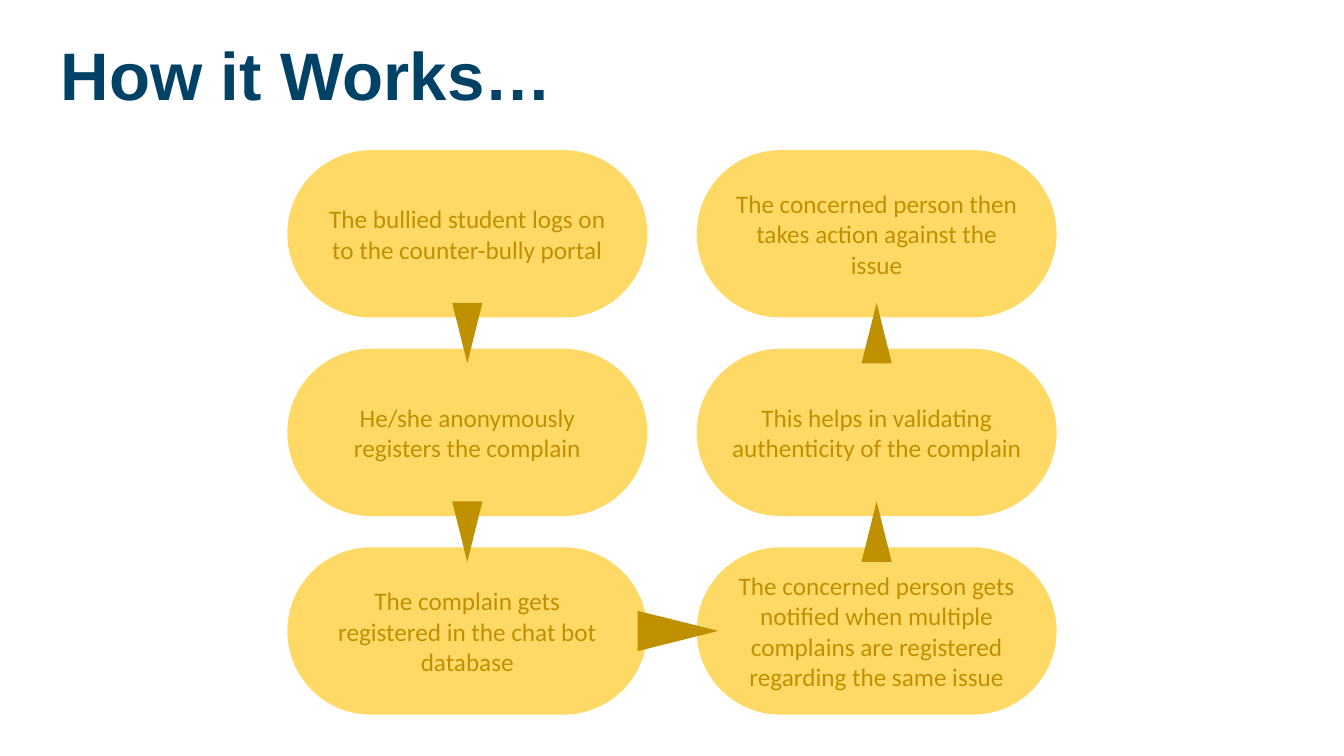
from pptx import Presentation
from pptx.dml.color import RGBColor
from pptx.enum.shapes import MSO_SHAPE
from pptx.enum.text import MSO_ANCHOR, MSO_AUTO_SIZE, PP_ALIGN
from pptx.util import Inches, Pt

NAVY, YELLOW, GOLD = "004266", "FFD966", "BF9000"
GRID_LEFT, GRID_TOP = 2.85, 1.49
COLUMN_STEP, ROW_STEP = 4.06, 1.97
PILL_WIDTH, PILL_HEIGHT = 3.57, 1.66
VERTICAL_ARROW = (0.6, 0.3, 0)
ACROSS_ARROW = (0.8, 0.4, 0.06)

STEPS = [
    (0, 0, "The bullied student logs on to the counter-bully portal"),
    (0, 1, "He/she anonymously registers the complain"),
    (0, 2, "The complain gets registered in the chat bot database"),
    (1, 2, "The concerned person gets notified when multiple complains "
           "are registered regarding the same issue"),
    (1, 1, "This helps in validating authenticity of the complain"),
    (1, 0, "The concerned person then takes action against the issue"),
]


def color(value):
    """Turn a hex string into a colour."""
    return RGBColor.from_string(value)


def paint(shape, fill):
    """Give a shape a plain fill without line or shadow."""
    shape.shadow.inherit = False
    shape.fill.solid()
    shape.fill.fore_color.rgb = color(fill)
    shape.line.fill.background()


def write(text_frame, text, font_name, size, font_color, alignment, bold=False):
    """Set one paragraph of text and format it."""
    text_frame.text = text
    paragraph = text_frame.paragraphs[0]
    paragraph.alignment = alignment
    font = paragraph.runs[0].font
    font.name, font.size, font.bold = font_name, Pt(size), bold
    font.color.rgb = color(font_color)


def add_title(slide, text):
    """Place and format the title placeholder."""
    title = slide.shapes.title
    title.left, title.top = Inches(0.5), Inches(0.28)
    title.width, title.height = Inches(5.14), Inches(0.91)
    text_frame = title.text_frame
    write(text_frame, text, "Arial", 48, NAVY, PP_ALIGN.LEFT, bold=True)
    text_frame.paragraphs[0].line_spacing = 1.0
    text_frame.word_wrap = False
    text_frame.auto_size = MSO_AUTO_SIZE.NONE
    text_frame.vertical_anchor = MSO_ANCHOR.TOP


def add_step(slide, column, row, text):
    """Add a pill with its text at a grid place."""
    pill = slide.shapes.add_shape(
        MSO_SHAPE.ROUNDED_RECTANGLE,
        Inches(GRID_LEFT + column * COLUMN_STEP),
        Inches(GRID_TOP + row * ROW_STEP),
        Inches(PILL_WIDTH), Inches(PILL_HEIGHT))
    pill.adjustments[0] = 0.5
    paint(pill, YELLOW)
    pill.text_frame.word_wrap = True
    pill.text_frame.vertical_anchor = MSO_ANCHOR.MIDDLE
    write(pill.text_frame, text, "Calibri", 18, GOLD, PP_ALIGN.CENTER)


def add_arrow(slide, start, end):
    """Add a triangle midway between two grid places, pointing to the second."""
    across, down = end[0] - start[0], end[1] - start[1]
    length, width, shift = ACROSS_ARROW if across else VERTICAL_ARROW
    center_x = GRID_LEFT + PILL_WIDTH / 2 + (start[0] + end[0]) / 2 * COLUMN_STEP + shift
    center_y = GRID_TOP + PILL_HEIGHT / 2 + (start[1] + end[1]) / 2 * ROW_STEP
    corners = [
        (Inches(center_x + across * along + down * aside),
         Inches(center_y + down * along + across * aside))
        for along, aside in ((length / 2, 0), (-length / 2, width / 2),
                             (-length / 2, -width / 2))]
    builder = slide.shapes.build_freeform(*corners[0])
    builder.add_line_segments(corners[1:], close=True)
    paint(builder.convert_to_shape(), GOLD)


def main():
    """Build the slide and save it."""
    presentation = Presentation()
    presentation.slide_width, presentation.slide_height = Inches(13.33), Inches(7.5)
    slide = presentation.slides.add_slide(presentation.slide_layouts[5])
    add_title(slide, "How it Works…")
    for column, row, text in STEPS:
        add_step(slide, column, row, text)
    for start, end in zip(STEPS, STEPS[1:]):
        add_arrow(slide, start, end)
    presentation.save("out.pptx")


if __name__ == "__main__":
    main()
